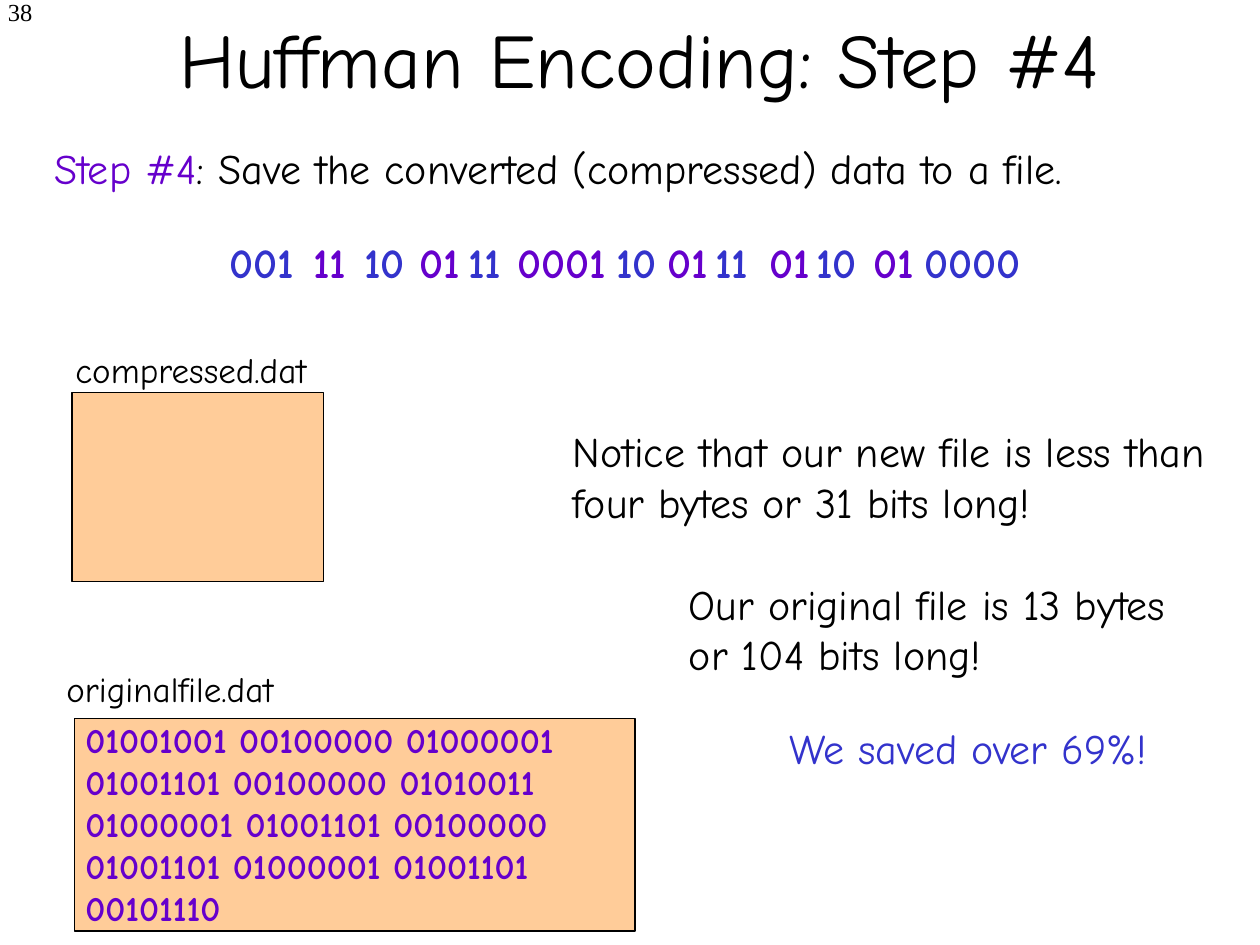
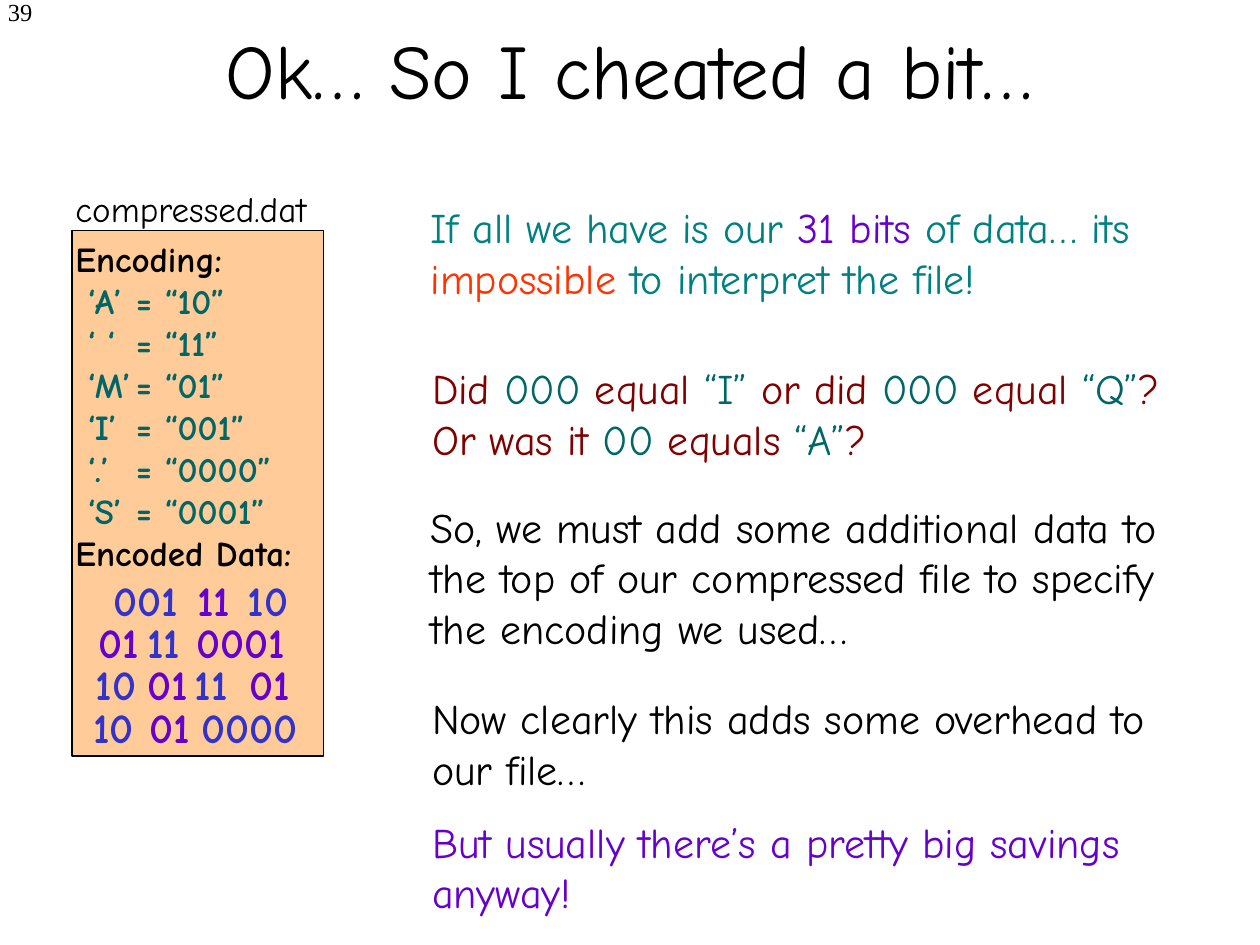
import pptx
import pptx.util
import pptx.dml.color
import pptx.enum.shapes
import pptx.enum.text
import lxml.etree
from itertools import cycle

Cm = pptx.util.Cm
Pt = pptx.util.Pt
RGBColor = pptx.dml.color.RGBColor

BLACK = RGBColor(0x00, 0x00, 0x00)
PURPLE = RGBColor(0x66, 0x00, 0xCC)
BLUE = RGBColor(0x33, 0x33, 0xCC)
TEAL = RGBColor(0x00, 0x80, 0x80)
DARK_TEAL = RGBColor(0x00, 0x66, 0x66)
MAROON = RGBColor(0x80, 0x00, 0x00)
ORANGE = RGBColor(0xFF, 0x33, 0x00)
PEACH = RGBColor(0xFF, 0xCC, 0x99)

BODY_FONT = "Comic Neue"
NUMBER_FONT = "Times New Roman"
BODY_SIZE, LABEL_SIZE, TITLE_SIZE, NUMBER_SIZE = 24, 20, 44, 14

SAVING_SLIDE = {
    "number": "38",
    "title": ("Huffman Encoding: Step #4", 2.11, -0.43),
    "files": [
        ("compressed.dat", (1.27, 6.91), (1.45, 7.92, 5.08, 3.81)),
        ("originalfile.dat", (1.09, 13.34), (1.5, 14.48, 11.3, 4.29)),
    ],
    "notes": [
        (0.84, 2.74, 23.24, [("Step #4", PURPLE),
                             (": Save the converted (compressed) data to a file.", BLACK)]),
        (11.3, 8.46, 13.26, [("Notice that our new file is less than four bytes or 31 bits long!", BLACK)]),
        (13.64, 11.53, 10.11, [("Our original file is 13 bytes or 104 bits long!", BLACK)]),
        (15.67, 14.45, 9.7, [("We saved over 69%!", BLUE)]),
    ],
}

OVERHEAD_SLIDE = {
    "number": "39",
    "title": ("Ok… So I cheated a bit…", 1.9, -0.2),
    "files": [("compressed.dat", (1.27, 3.66), (1.45, 4.65, 5.08, 10.59))],
    "notes": [
        (8.43, 3.94, 16.13, [("If all we have is our ", TEAL), ("31 bits", PURPLE),
                             (" of data… its ", TEAL), ("impossible", ORANGE),
                             (" to interpret the file!", TEAL)]),
        (8.46, 7.19, 16.13, [("Did ", MAROON), ("000", DARK_TEAL), (" equal ", MAROON),
                             ("“I”", DARK_TEAL), (" or did ", MAROON), ("000", DARK_TEAL),
                             (" equal ", MAROON), ("“Q”", DARK_TEAL), ("? Or was it ", MAROON),
                             ("00", DARK_TEAL), (" equals ", MAROON), ("“A”", DARK_TEAL),
                             ("?", MAROON)]),
        (8.43, 9.98, 16.13, [("So, we must add some additional data to the top of our compressed "
                              "file to specify the encoding we used…", BLACK)]),
        (8.46, 13.84, 16.13, [("Now clearly this adds some overhead to our file…", BLACK)]),
        (8.46, 16.33, 16.13, [("But usually there’s a pretty big savings anyway!", PURPLE)]),
    ],
}

ORIGINAL_BYTES = [
    "01001001 00100000 01000001",
    "01001101 00100000 01010011",
    "01000001 01001101 00100000",
    "01001101 01000001 01001101",
    "00101110",
]

ENCODING = [("A", "10"), (" ", "11"), ("M", "01"), ("I", "001"), (".", "0000"), ("S", "0001")]
CLOSING_QUOTES = {" ": "‘"}
EQUALS_TAB = 1.22

CODES = [
    ("001", 4.37), ("11", 6.07), ("10", 7.09),
    ("01", 8.2), ("11", 9.19), ("0001", 10.19),
    ("10", 12.17), ("01", 13.21), ("11", 14.17), ("01", 15.27),
    ("10", 16.21), ("01", 17.35), ("0000", 18.39),
]
CODES_TOP = 4.65
STACK_ROWS = [(3, 2.03), (3, 1.73), (4, 1.68), (3, 1.63)]
STACK_TOP, STACK_PITCH = 11.46, 0.85


def add_paragraph_runs(paragraph, runs, size, bold=False, font=BODY_FONT):
    for text, color in runs:
        run = paragraph.add_run()
        run.text = text
        run.font.name = font
        run.font.size = Pt(size)
        run.font.bold = bold
        run.font.color.rgb = color


def add_text(slide, left, top, width, height, lines, size=BODY_SIZE, bold=False, font=BODY_FONT):
    box = slide.shapes.add_textbox(Cm(left), Cm(top), Cm(width), Cm(height))
    frame = box.text_frame
    frame.word_wrap = True
    for index, runs in enumerate(lines):
        paragraph = frame.add_paragraph() if index else frame.paragraphs[0]
        add_paragraph_runs(paragraph, runs, size, bold, font)
    return frame


def add_file(slide, name, label_place, box_place):
    add_text(slide, *label_place, 5.66, 1.09, [[(name, BLACK)]], LABEL_SIZE)
    shape = slide.shapes.add_shape(pptx.enum.shapes.MSO_SHAPE.RECTANGLE, *map(Cm, box_place))
    shape.shadow.inherit = False
    shape.fill.solid()
    shape.fill.fore_color.rgb = PEACH
    shape.line.color.rgb = BLACK
    shape.line.width = Pt(0.75)


def add_slide(presentation, content):
    slide = presentation.slides.add_slide(presentation.slide_layouts[6])
    add_text(slide, -0.09, -0.18, 1.5, 1.27, [[(content["number"], BLACK)]],
             NUMBER_SIZE, font=NUMBER_FONT)
    title, left, top = content["title"]
    frame = add_text(slide, left, top, 21.59, 3.18, [[(title, BLACK)]], TITLE_SIZE)
    frame.vertical_anchor = pptx.enum.text.MSO_ANCHOR.MIDDLE
    frame.paragraphs[0].alignment = pptx.enum.text.PP_ALIGN.CENTER
    for file in content["files"]:
        add_file(slide, *file)
    for left, top, width, runs in content["notes"]:
        add_text(slide, left, top, width, 1.27, [runs])
    return slide


def add_codes(slide, places):
    for (code, left, top), color in zip(places, cycle([BLUE, PURPLE])):
        add_text(slide, left, top, 0.53 + 0.51 * len(code), 1.27, [[(code, color)]], bold=True)


def stacked_places():
    remaining = iter(CODES)
    for row, (count, row_left) in enumerate(STACK_ROWS):
        codes = [next(remaining) for _ in range(count)]
        shift = row_left - codes[0][1]
        for code, left in codes:
            yield code, left + shift, STACK_TOP + row * STACK_PITCH


def add_tab_stop(paragraph, position):
    namespace = "{http://schemas.openxmlformats.org/drawingml/2006/main}"
    properties = paragraph._p.get_or_add_pPr()
    tabs = lxml.etree.SubElement(properties, namespace + "tabLst")
    lxml.etree.SubElement(tabs, namespace + "tab", pos=str(Cm(position)), algn="l")


def add_encoding(slide):
    lines = [[("Encoding:", BLACK)]]
    for symbol, code in ENCODING:
        closing = CLOSING_QUOTES.get(symbol, "’")
        lines.append([(f" ‘{symbol}{closing}\t= “{code}”", DARK_TEAL)])
    lines.append([("Encoded Data:", BLACK)])
    frame = add_text(slide, 1.27, 4.67, 5.51, 7.04, lines, LABEL_SIZE, bold=True)
    for paragraph in frame.paragraphs[1:-1]:
        add_tab_stop(paragraph, EQUALS_TAB)


def main():
    presentation = pptx.Presentation()
    presentation.slide_width = Cm(25.4)
    presentation.slide_height = Cm(19.05)

    saving = add_slide(presentation, SAVING_SLIDE)
    add_codes(saving, [(code, left, CODES_TOP) for code, left in CODES])
    add_text(saving, 1.47, 14.35, 11.79, 4.5,
             [[(line, PURPLE)] for line in ORIGINAL_BYTES], LABEL_SIZE, bold=True)

    overhead = add_slide(presentation, OVERHEAD_SLIDE)
    add_codes(overhead, stacked_places())
    add_encoding(overhead)

    presentation.save("out.pptx")


if __name__ == "__main__":
    main()
